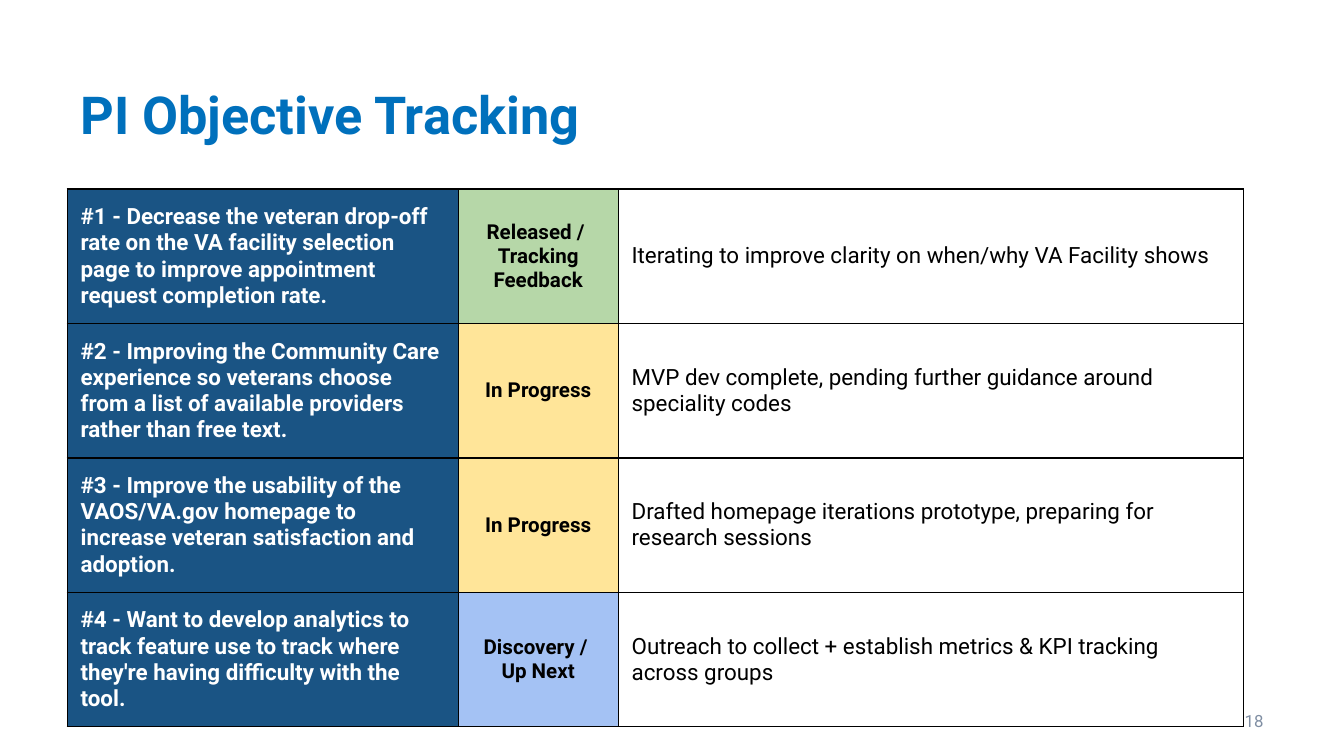
import pptx
import pptx.util
import pptx.dml.color
import pptx.enum.text
import pptx.oxml
import pptx.oxml.ns

Inches = pptx.util.Inches
Align = pptx.enum.text.PP_ALIGN
Anchor = pptx.enum.text.MSO_ANCHOR

THEME = {
    "font": "Roboto",
    "title": "0070BC",
    "objective": "1A5484",
    "light": "FFFFFF",
    "dark": "000000",
    "muted": "7F8EA3",
    "title_size": 28,
    "body_size": 12,
    "status_size": 11,
    "number_size": 9,
}
STATUS_FILLS = {"Released": "B6D7A8", "In Progress": "FFE599", "Discovery": "A4C2F4"}

TITLE = "PI Objective Tracking"
PAGE_NUMBER = "18"
OBJECTIVES = [
    ("#1 - Decrease the veteran drop-off rate on the VA facility selection page to improve appointment request completion rate.",
     "Released / \nTracking Feedback",
     "Iterating to improve clarity on when/why VA Facility shows"),
    ("#2 - Improving the Community Care experience so veterans choose from a list of available providers rather than free text.",
     "In Progress",
     "MVP dev complete, pending further guidance around speciality codes"),
    ("#3 - Improve the usability of the VAOS/VA.gov homepage to increase veteran satisfaction and adoption.",
     "In Progress",
     "Drafted homepage iterations prototype, preparing for research sessions"),
    ("#4 - Want to develop analytics to track feature use to track where they're having difficulty with the tool.",
     "Discovery / \nUp Next",
     "Outreach to collect + establish metrics & KPI tracking across groups"),
]

SLIDE_WIDTH = 10
SLIDE_HEIGHT = SLIDE_WIDTH * 9 / 16
LEFT = 0.05 * SLIDE_WIDTH
TABLE_TOP = 0.25 * SLIDE_HEIGHT
TABLE_HEIGHT = 4
COLUMNS = [2.91, 1.19, 4.65]
MINIMUM_ROW_HEIGHT = 0.42


def rgb(value):
    return pptx.dml.color.RGBColor.from_string(value)


def write(frame, text, size, color, bold=False, align=Align.LEFT):
    frame.word_wrap = True
    frame.text = text
    for paragraph in frame.paragraphs:
        paragraph.alignment = align
        for run in paragraph.runs:
            run.font.name = THEME["font"]
            run.font.size = pptx.util.Pt(size)
            run.font.bold = bold
            run.font.color.rgb = rgb(color)


def style_cell(cell, fill):
    cell.vertical_anchor = Anchor.MIDDLE
    cell.margin_left = cell.margin_right = Inches(0.1)
    cell.margin_top = cell.margin_bottom = Inches(0.1)
    properties = cell._tc.get_or_add_tcPr()
    for side in ("lnL", "lnR", "lnT", "lnB"):
        properties.append(pptx.oxml.parse_xml(
            f'<a:{side} {pptx.oxml.ns.nsdecls("a")} w="{pptx.util.Pt(0.75)}">'
            f'<a:solidFill><a:srgbClr val="{THEME["dark"]}"/></a:solidFill></a:{side}>'))
    if fill:
        cell.fill.solid()
        cell.fill.fore_color.rgb = rgb(fill)
    else:
        cell.fill.background()


def add_title(slide):
    title = slide.shapes.title
    title.left, title.top = Inches(LEFT), Inches(0.1 * SLIDE_HEIGHT)
    title.width, title.height = Inches(8.25), Inches(0.69)
    title.text_frame.auto_size = pptx.enum.text.MSO_AUTO_SIZE.NONE
    title.text_frame.vertical_anchor = Anchor.TOP
    write(title.text_frame, TITLE, THEME["title_size"], THEME["title"], bold=True)


def add_objectives(slide):
    tracker = slide.shapes.add_table(
        len(OBJECTIVES), len(COLUMNS), Inches(LEFT), Inches(TABLE_TOP),
        Inches(sum(COLUMNS)), Inches(TABLE_HEIGHT))
    table = tracker.table
    table.first_row = table.horz_banding = False
    for column, width in zip(table.columns, COLUMNS):
        column.width = Inches(width)
    formats = [
        {"size": THEME["body_size"], "color": THEME["light"], "bold": True},
        {"size": THEME["status_size"], "color": THEME["dark"], "bold": True, "align": Align.CENTER},
        {"size": THEME["body_size"], "color": THEME["dark"]},
    ]
    for row, objective in zip(table.rows, OBJECTIVES):
        row.height = Inches(MINIMUM_ROW_HEIGHT)
        status = objective[1].split(" / ")[0]
        fills = (THEME["objective"], STATUS_FILLS[status], None)
        for cell, text, fill, text_format in zip(row.cells, objective, fills, formats):
            style_cell(cell, fill)
            write(cell.text_frame, text, **text_format)
    tracker.height = Inches(TABLE_HEIGHT)


def add_page_number(slide):
    number = slide.shapes.add_textbox(Inches(8.75), Inches(5.21), Inches(0.75), Inches(0.3))
    number.text_frame.vertical_anchor = Anchor.MIDDLE
    write(number.text_frame, PAGE_NUMBER, THEME["number_size"], THEME["muted"], align=Align.RIGHT)


def main():
    deck = pptx.Presentation()
    deck.slide_width, deck.slide_height = Inches(SLIDE_WIDTH), Inches(SLIDE_HEIGHT)
    slide = deck.slides.add_slide(deck.slide_layouts.get_by_name("Title Only"))
    add_title(slide)
    add_page_number(slide)
    add_objectives(slide)
    deck.save("out.pptx")


if __name__ == "__main__":
    main()
